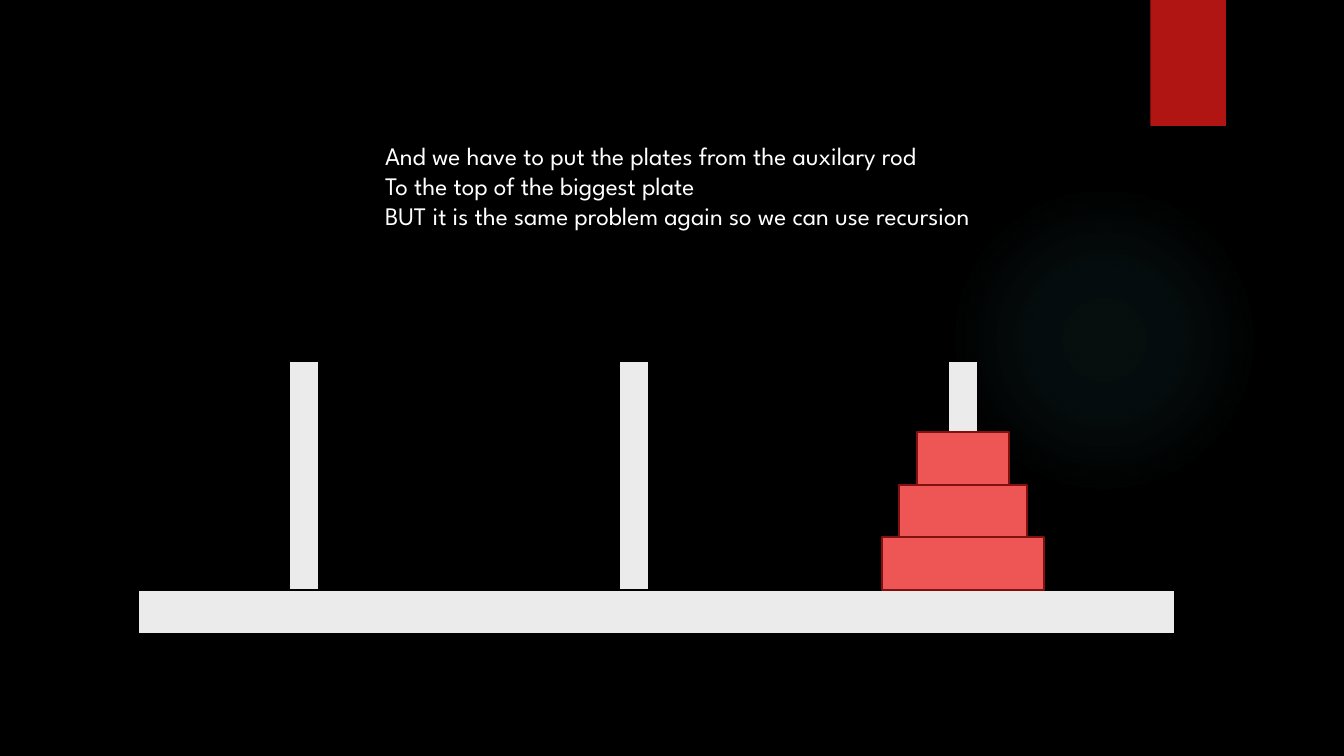
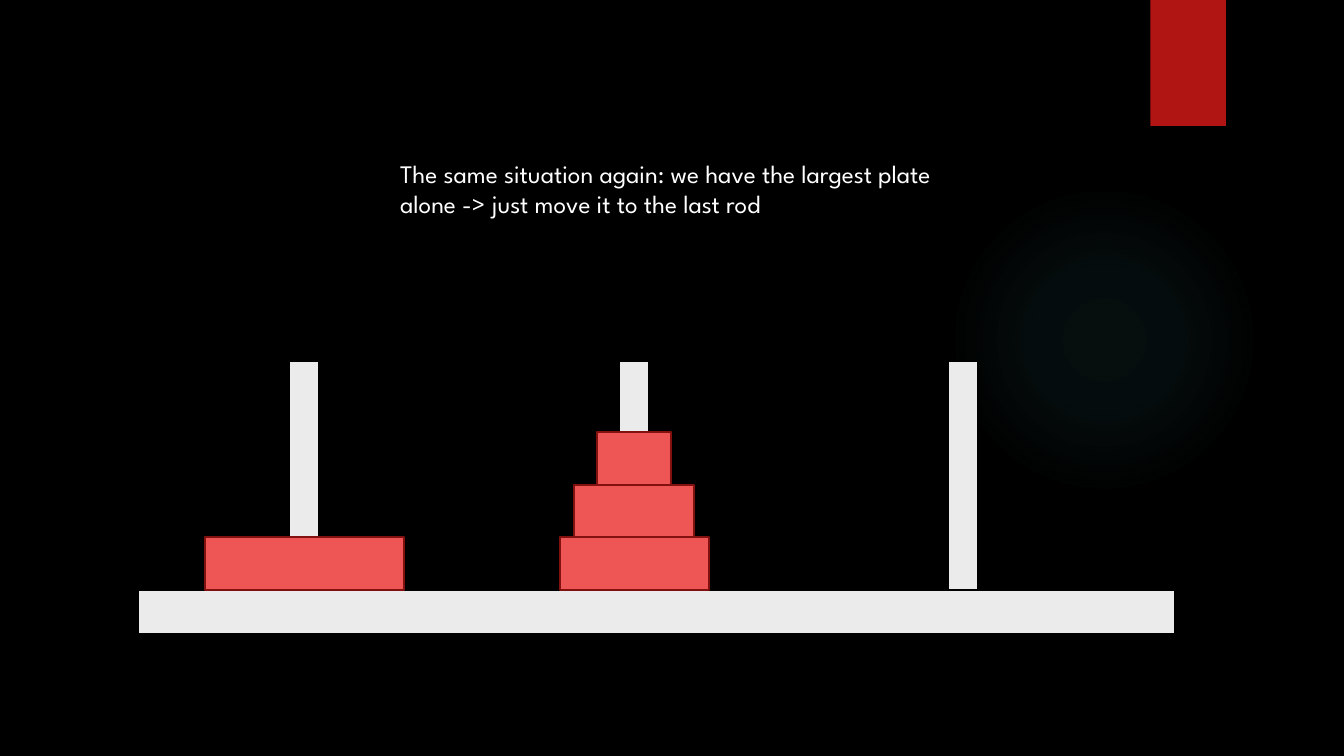
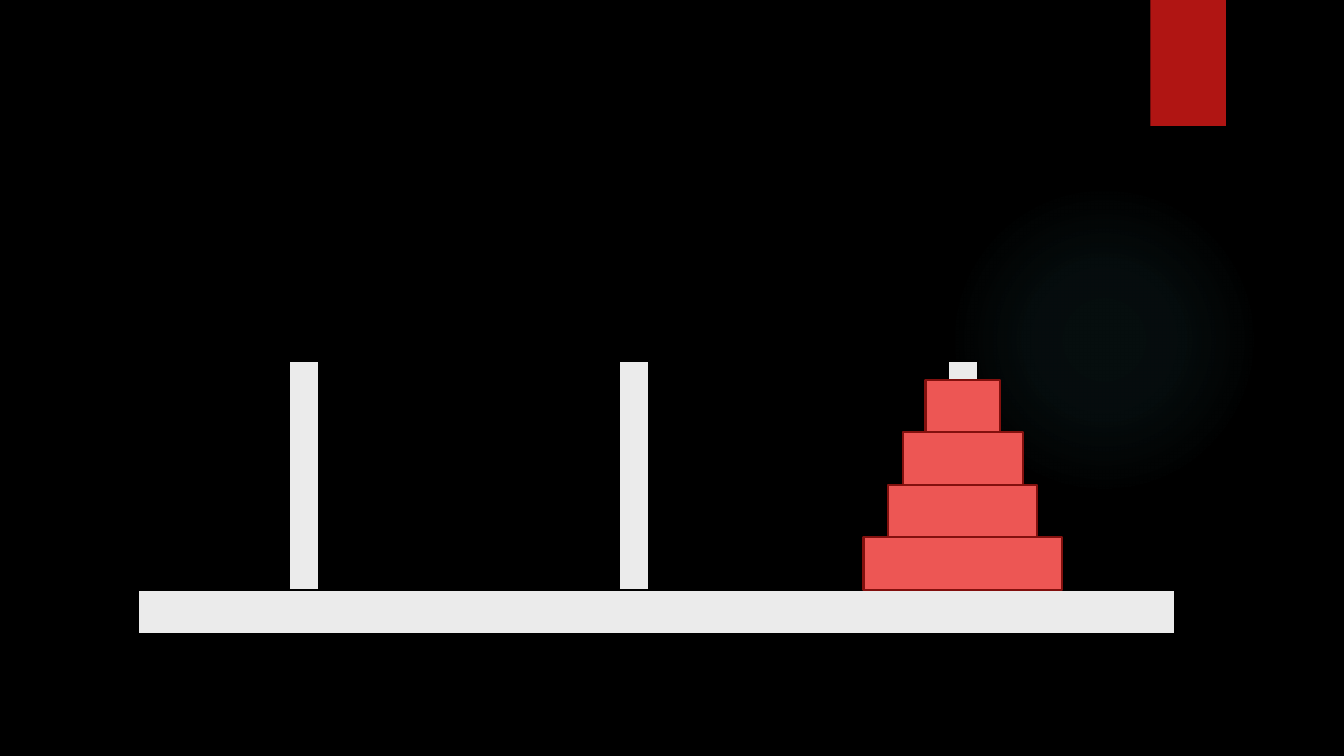
from lxml.etree import SubElement
from pptx import Presentation
from pptx.dml.color import RGBColor
from pptx.enum.shapes import MSO_SHAPE
from pptx.enum.text import MSO_AUTO_SIZE
from pptx.oxml.ns import qn
from pptx.util import Inches, Pt

# Shared style
FONT = "League Spartan"
BLACK, WHITE, GREY = "000000", "FFFFFF", "EBEBEB"
TAB_RED, PLATE_RED, DARK_RED, GLOW = "B01513", "ED5654", "82100E", "50B9C1"

# Tower geometry, in inches
ROD_CENTRES = (3.02, 6.29, 9.55)
ROD_TOP, ROD_WIDTH = 3.58, 0.3
BASE_TOP = 5.85
PLATE_HEIGHT = 0.52

# Each slide: caption (left, top, width, height, lines) and, for each rod,
# the plate widths from the bottom up
SLIDES = [
    ((3.72, 1.34, 7.15, 1.01,
      ["And we have to put the plates from the auxilary rod",
       "To the top of the biggest plate",
       "BUT it is the same problem again so we can use recursion"]),
     [[], [], [1.61, 1.27, 0.91]]),
    ((3.87, 1.52, 6.54, 0.71,
      ["The same situation again: we have the largest plate",
       "alone -> just move it to the last rod"]),
     [[1.97], [1.48, 1.19, 0.74], []]),
    (None, [[], [], [1.97, 1.48, 1.19, 0.74]]),
]


def color(hex_string):
    return RGBColor.from_string(hex_string)


def add_box(s, x, y, w, h, fill, line=None):
    sp = s.shapes.add_shape(MSO_SHAPE.RECTANGLE, Inches(x), Inches(y),
                            Inches(w), Inches(h))
    sp.shadow.inherit = False
    sp.fill.solid()
    sp.fill.fore_color.rgb = color(fill)
    if line:
        sp.line.color.rgb = color(line)
        sp.line.width = Pt(1.5)
    else:
        sp.line.fill.background()


def add_glow(s):
    sp = s.shapes.add_shape(MSO_SHAPE.OVAL, Inches(9.41), Inches(1.83),
                            Inches(3.08), Inches(3.08))
    sp.shadow.inherit = False
    sp.line.fill.background()
    # Radial gradient that fades out towards the rim
    props = sp.element.spPr
    grad = SubElement(props, qn("a:gradFill"), rotWithShape="1")
    props.find(qn("a:prstGeom")).addnext(grad)
    stops = SubElement(grad, qn("a:gsLst"))
    for position, alpha in ((0, 7), (36, 6), (69, 0)):
        stop = SubElement(stops, qn("a:gs"), pos=str(position * 1000))
        clr = SubElement(stop, qn("a:srgbClr"), val=GLOW)
        SubElement(clr, qn("a:alpha"), val=str(alpha * 1000))
    radial = SubElement(grad, qn("a:path"), path="circle")
    SubElement(radial, qn("a:fillToRect"),
               {side: "50000" for side in "ltrb"})


def add_caption(s, x, y, w, h, lines):
    sp = s.shapes.add_textbox(Inches(x), Inches(y), Inches(w), Inches(h))
    tf = sp.text_frame
    tf.word_wrap = False
    tf.auto_size = MSO_AUTO_SIZE.SHAPE_TO_FIT_TEXT
    tf.text = "\n".join(lines)
    for p in tf.paragraphs:
        for r in p.runs:
            r.font.name = FONT
            r.font.size = Pt(18)
            r.font.color.rgb = color(WHITE)


def add_towers(s, towers):
    # Base and rods
    add_box(s, 1.37, BASE_TOP, 10.28, 0.44, GREY, BLACK)
    for centre in ROD_CENTRES:
        add_box(s, centre - ROD_WIDTH / 2, ROD_TOP, ROD_WIDTH,
                BASE_TOP - ROD_TOP, GREY, BLACK)
    # Plates, stacked upwards
    for centre, widths in zip(ROD_CENTRES, towers):
        for level, width in enumerate(widths, start=1):
            add_box(s, centre - width / 2, BASE_TOP - level * PLATE_HEIGHT,
                    width, PLATE_HEIGHT, PLATE_RED, DARK_RED)


def main():
    prs = Presentation()
    prs.slide_width, prs.slide_height = Inches(13.33), Inches(7.5)
    background = prs.slide_master.background.fill
    background.solid()
    background.fore_color.rgb = color(BLACK)
    blank = prs.slide_layouts[6]

    for caption, towers in SLIDES:
        s = prs.slides.add_slide(blank)
        add_glow(s)
        add_box(s, 11.41, 0, 0.75, 1.25, TAB_RED)
        add_towers(s, towers)
        if caption:
            add_caption(s, *caption)

    prs.save("out.pptx")


main()
